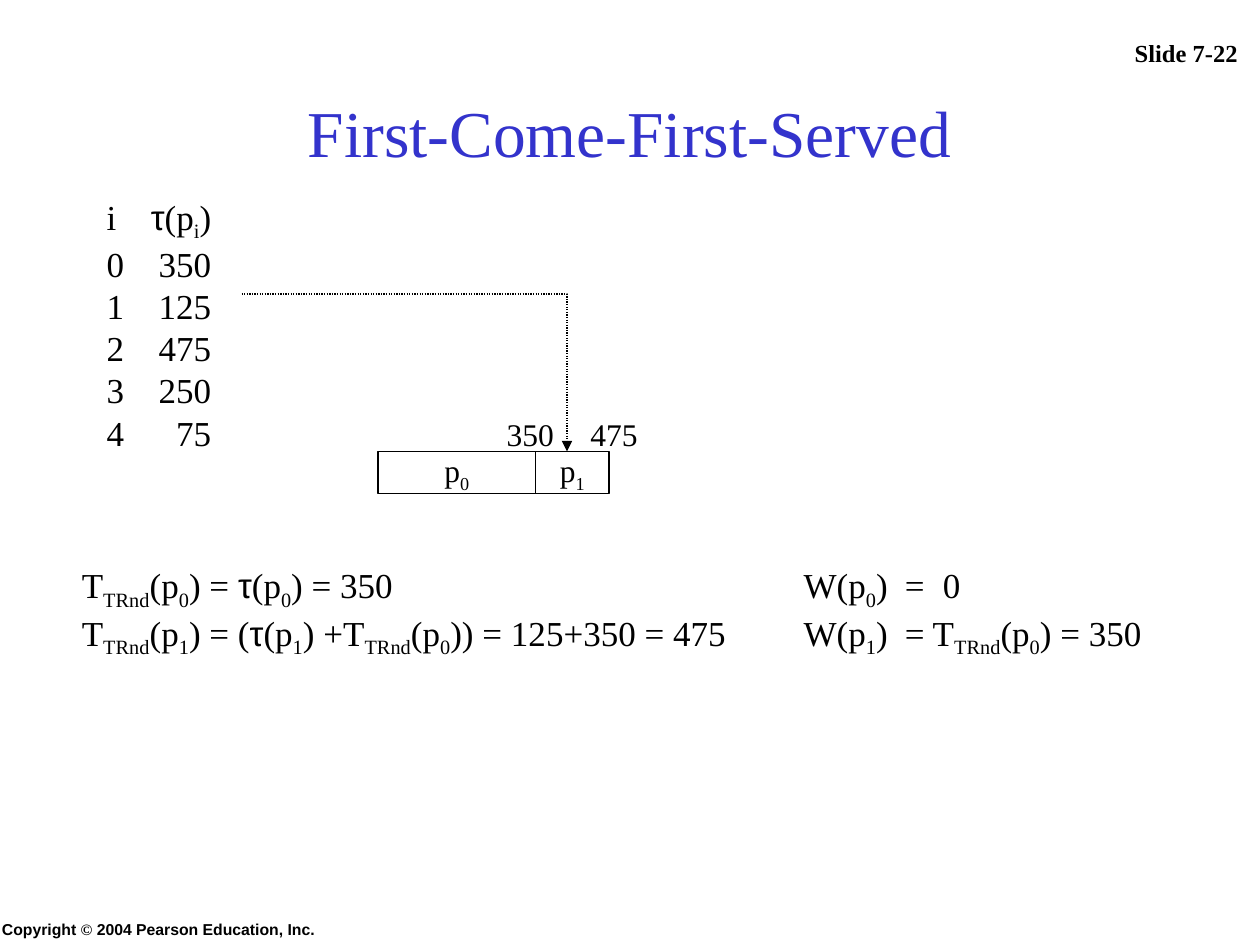
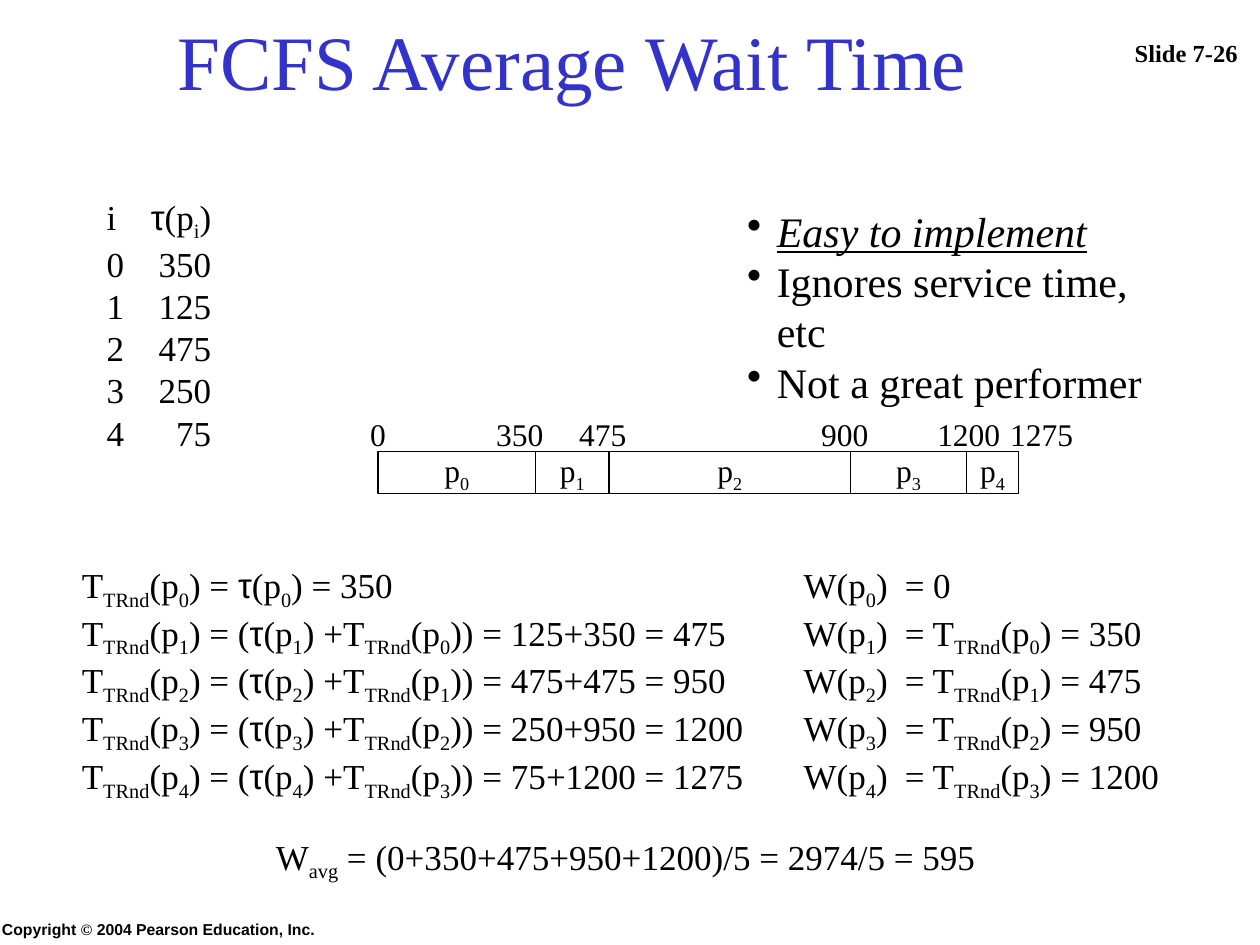
from dataclasses import dataclass
from itertools import accumulate, groupby

from lxml.etree import SubElement
from pptx import Presentation
from pptx.dml.color import RGBColor
from pptx.enum.dml import MSO_LINE
from pptx.enum.shapes import MSO_SHAPE
from pptx.enum.text import MSO_ANCHOR, PP_ALIGN
from pptx.oxml.ns import qn
from pptx.slide import Slide
from pptx.text.text import TextFrame, _Paragraph
from pptx.util import Cm, Pt

BLACK = RGBColor(0x00, 0x00, 0x00)
WHITE = RGBColor(0xFF, 0xFF, 0xFF)
BLUE = RGBColor(0x33, 0x33, 0xCC)
SERIF = "Times New Roman"
SANS = "Arial"
GLYPHS = {"τ": SANS, "©": SERIF}

TIMES = [350, 125, 475, 250, 75]
ENDS = list(accumulate(TIMES))
WIDTHS = [3.18, 1.48, 4.87, 2.33, 1.06]
BAR_LEFT, BAR_TOP, BAR_HIGH = 7.62, 9.1, 0.85


@dataclass(frozen=True)
class Box:
    left: float
    top: float
    width: float
    height: float


@dataclass(frozen=True)
class Style:
    size: float = 20
    font: str = SERIF
    color: RGBColor = BLACK
    bold: bool = False
    align: PP_ALIGN = PP_ALIGN.LEFT
    anchor: MSO_ANCHOR = MSO_ANCHOR.TOP


@dataclass(frozen=True)
class Tab:
    pos: float
    side: str = "l"


@dataclass(frozen=True)
class Mark:
    """A time above the bar, centred at a horizontal place."""
    text: str
    mid: float


BODY = Style()
BULLET = Style(size=24)
CELL = Style(size=18, align=PP_ALIGN.CENTER, anchor=MSO_ANCHOR.MIDDLE)
LABEL = Style(size=18, align=PP_ALIGN.CENTER)
NUMBER = Style(size=14, bold=True, align=PP_ALIGN.CENTER, anchor=MSO_ANCHOR.BOTTOM)
FOOTER = Style(size=9, font=SANS, bold=True)


def title_style(size: float) -> Style:
    return Style(size, color=BLUE, align=PP_ALIGN.CENTER, anchor=MSO_ANCHOR.MIDDLE)


def add_runs(para: _Paragraph, text: str, style: Style) -> None:
    """Write text run by run; parts in square brackets are subscripts."""
    for i, part in enumerate(text.replace("]", "[").split("[")):
        for name, chars in groupby(part, lambda c: GLYPHS.get(c, style.font)):
            run = para.add_run()
            run.text = "".join(chars)
            font = run.font
            font.name, font.size, font.bold = name, Pt(style.size), style.bold
            font.color.rgb = style.color
            if i % 2:
                font._element.set("baseline", "-25000")


def add_tabs(para: _Paragraph, tabs: list[Tab]) -> None:
    stops = SubElement(para._p.get_or_add_pPr(), qn("a:tabLst"))
    for tab in tabs:
        SubElement(stops, qn("a:tab"), pos=str(Cm(tab.pos)), algn=tab.side)


def add_dot(para: _Paragraph) -> None:
    props = para._p.get_or_add_pPr()
    props.set("marL", str(Cm(0.6)))
    props.set("indent", str(-Cm(0.6)))
    SubElement(props, qn("a:buChar"), char="•")


def fill_frame(frame: TextFrame, lines: list[str], style: Style,
               tabs: list[Tab] | None = None, dots: bool = False) -> None:
    frame.vertical_anchor = style.anchor
    for i, line in enumerate(lines):
        para = frame.add_paragraph() if i else frame.paragraphs[0]
        if dots:
            add_dot(para)
        if tabs:
            add_tabs(para, tabs)
        para.alignment = style.align
        add_runs(para, line, style)


def add_text(slide: Slide, box: Box, lines: list[str], style: Style = BODY,
             tabs: list[Tab] | None = None, dots: bool = False) -> TextFrame:
    shape = slide.shapes.add_textbox(
        Cm(box.left), Cm(box.top), Cm(box.width), Cm(box.height))
    frame = shape.text_frame
    frame.word_wrap = True
    fill_frame(frame, lines, style, tabs, dots)
    return frame


def add_base(deck: Presentation, number: str) -> Slide:
    """Start a slide with its number, copyright line and service times."""
    slide = deck.slides.add_slide(deck.slide_layouts[6])
    add_text(slide, Box(22.43, -0.42, 2.97, 1.9), [f"Slide {number}"], NUMBER)
    add_text(slide, Box(-0.21, 18.42, 12.28, 0.63),
             ["Copyright © 2004 Pearson Education, Inc."], FOOTER)
    rows = [f"{i}\t{time}" for i, time in enumerate(TIMES)]
    add_text(slide, Box(1.9, 3.81, 3.5, 5.46), ["i\tτ(p[i])"] + rows,
             tabs=[Tab(2.11, "r")])
    return slide


def add_bar(slide: Slide, count: int, marks: list[Mark]) -> None:
    left = BAR_LEFT
    for i, width in enumerate(WIDTHS[:count]):
        cell = slide.shapes.add_shape(
            MSO_SHAPE.RECTANGLE, Cm(left), Cm(BAR_TOP), Cm(width), Cm(BAR_HIGH))
        cell.shadow.inherit = False
        cell.fill.solid()
        cell.fill.fore_color.rgb = WHITE
        cell.line.color.rgb = BLACK
        cell.line.width = Pt(0.75)
        cell.text_frame.word_wrap = False
        fill_frame(cell.text_frame, [f"p[{i}]"], CELL)
        left += width
    for mark in marks:
        add_text(slide, Box(mark.mid - 1, 8.25, 2, 1.02), [mark.text], LABEL)


def add_sums(slide: Slide, count: int, first: str) -> None:
    """Write turnaround and wait formulas for the first processes."""
    turns = ["T[TRnd](p[0]) = τ(p[0]) = 350"]
    waits = [f"W(p[0])\t{first}"]
    for i in range(1, count):
        prior = f"T[TRnd](p[{i - 1}])"
        turns.append(f"T[TRnd](p[{i}]) = (τ(p[{i}]) +{prior}) = "
                     f"{TIMES[i]}+{ENDS[i - 1]} = {ENDS[i]}")
        waits.append(f"W(p[{i}])\t= {prior} = {ENDS[i - 1]}")
    high = 1 + count
    add_text(slide, Box(1.4, 11.23, 14.4, high), turns)
    add_text(slide, Box(15.95, 11.23, 8.6, high), waits,
             tabs=[Tab(2.04), Tab(2.81)])


def add_arrow(slide: Slide) -> None:
    """Lead from the row of process 1 to its part of the bar."""
    path = slide.shapes.build_freeform(Cm(4.87), Cm(5.93))
    path.add_line_segments([(Cm(11.43), Cm(5.93)), (Cm(11.43), Cm(BAR_TOP))],
                           close=False)
    arrow = path.convert_to_shape()
    arrow.shadow.inherit = False
    arrow.fill.background()
    arrow.line.color.rgb = BLACK
    arrow.line.width = Pt(0.75)
    arrow.line.dash_style = MSO_LINE.ROUND_DOT
    SubElement(arrow.element.spPr.find(qn("a:ln")), qn("a:tailEnd"), type="triangle")


def add_first(deck: Presentation) -> None:
    slide = add_base(deck, "7-22")
    add_text(slide, Box(1.9, 1.7, 21.6, 1.9), ["First-Come-First-Served"],
             title_style(37.4))
    add_bar(slide, 2, [Mark("350", 10.69), Mark("475", 12.38)])
    add_arrow(slide)
    add_sums(slide, 2, "=\t0")


def add_wait(deck: Presentation) -> None:
    slide = add_base(deck, "7-26")
    add_text(slide, Box(0.84, 0.64, 21.39, 1.14), ["FCFS Average Wait Time"],
             title_style(44))
    add_bar(slide, 5, [Mark("0", 7.62), Mark("350", 10.48), Mark("475", 12.15),
                       Mark("900", 17.03), Mark("1200", 19.53), Mark("1275", 21)])
    add_sums(slide, 5, "= 0")
    add_text(slide, Box(5.31, 16.71, 15.2, 1.22),
             ["W[avg] = (0+350+475+950+1200)/5 = 2974/5 = 595"])
    notes = add_text(slide, Box(14.81, 4.01, 9.07, 4.2),
                     ["Easy to implement", "Ignores service time, etc",
                      "Not a great performer"], BULLET, dots=True)
    lead = notes.paragraphs[0].runs[0].font
    lead.italic = lead.underline = True


def main() -> None:
    deck = Presentation()
    deck.slide_width, deck.slide_height = Cm(25.4), Cm(19.05)
    add_first(deck)
    add_wait(deck)
    deck.save("out.pptx")


if __name__ == "__main__":
    main()
